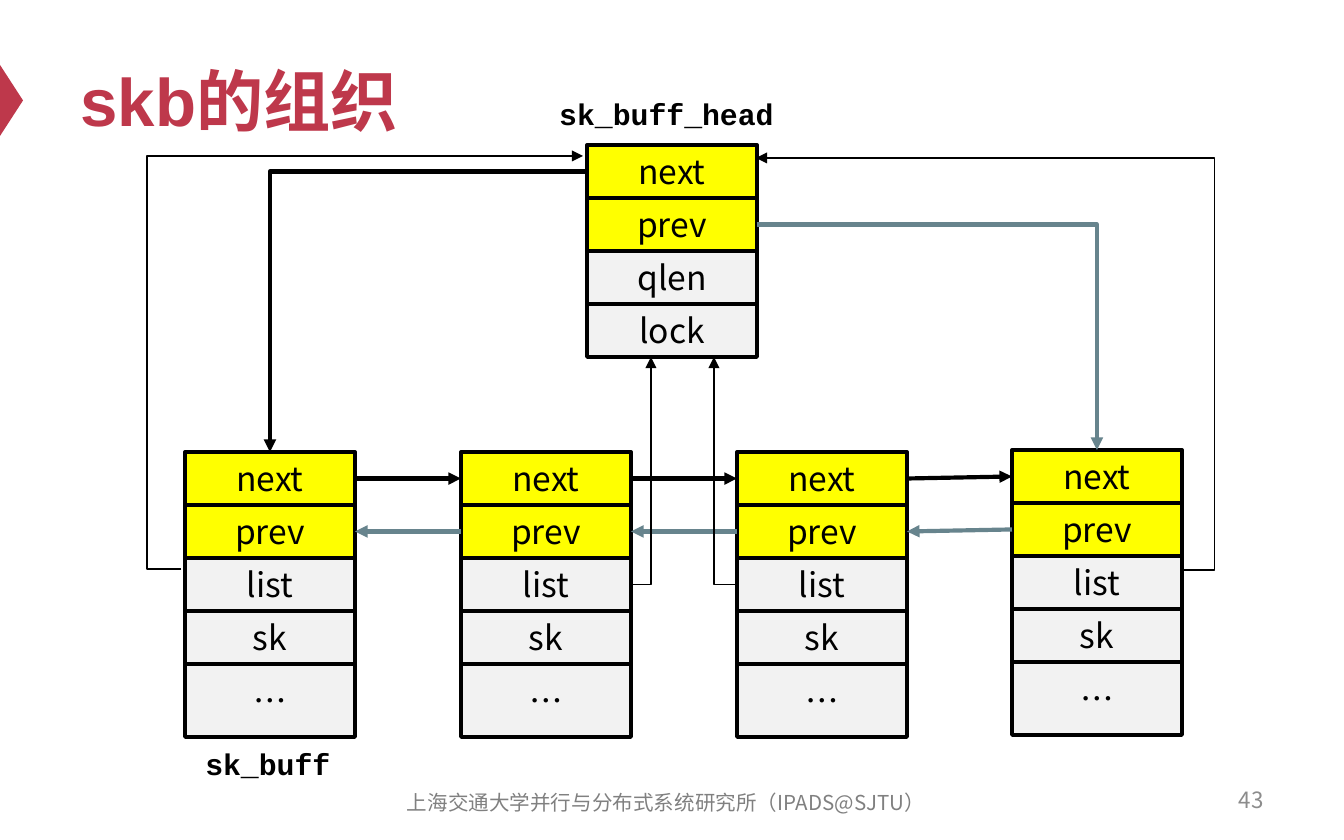
from lxml import etree
from pptx import Presentation
from pptx.dml.color import RGBColor
from pptx.enum.shapes import MSO_CONNECTOR, MSO_SHAPE
from pptx.enum.text import MSO_ANCHOR, PP_ALIGN
from pptx.oxml.ns import qn
from pptx.util import Emu, Pt

LEFT, CENTER, RIGHT = PP_ALIGN.LEFT, PP_ALIGN.CENTER, PP_ALIGN.RIGHT
MIDDLE, TOP = MSO_ANCHOR.MIDDLE, MSO_ANCHOR.TOP
STRAIGHT, ELBOW = MSO_CONNECTOR.STRAIGHT, MSO_CONNECTOR.ELBOW
RECTANGLE, TRIANGLE = MSO_SHAPE.RECTANGLE, MSO_SHAPE.ISOSCELES_TRIANGLE

SANS, LATIN, MONO = "Noto Sans CJK SC", "Arial", "Courier New"
RED, YELLOW, PALE, BLACK, SLATE = "BE384B", "FFFF00", "F2F2F2", "000000", "67848D"

TITLE = "skb的组织"
HEAD_FIELDS = ["next", "prev", "qlen", "lock"]
BUFFER_FIELDS = ["next", "prev", "list", "sk", "…"]
POINTER_FIELDS = {"next", "prev"}
HEAD = (587, 145)
BUFFERS = [(185, 452), (461, 452), (737, 452), (1012, 450)]
WIDTH, ROW, LAST_ROW = 170, 53, 73
LABELS = [
    ("sk_buff_head", (546, 89, 245, 50), 16, MONO, BLACK, True, LEFT, TOP),
    ("sk_buff", (192, 739, 155, 50), 16, MONO, BLACK, True, LEFT, TOP),
    ("上海交通大学并行与分布式系统研究所（IPADS@SJTU）", (375, 780, 582, 44),
     11, SANS, "808080", False, CENTER, MIDDLE),
    ("43", (964, 778, 313, 44), 12, SANS, "8C8C8C", False, RIGHT, MIDDLE),
]


def px(value):
    return Emu(round(value * 914400 / 134.4))


def color(value):
    return RGBColor.from_string(value)


def write(shape, text, size, font, ink, bold=False, align=CENTER, anchor=MIDDLE):
    frame = shape.text_frame
    frame.text = text
    frame.vertical_anchor = anchor
    para = frame.paragraphs[0]
    para.alignment = align
    span = para.runs[0]
    span.font.size, span.font.name, span.font.bold = Pt(size), font, bold
    span.font.color.rgb = color(ink)
    east_asian = etree.SubElement(span.font._element, qn("a:ea"))
    east_asian.set("typeface", SANS)


def add_filled(page, kind, area, fill):
    shape = page.shapes.add_shape(kind, *map(px, area))
    shape.shadow.inherit = False
    shape.fill.solid()
    shape.fill.fore_color.rgb = color(fill)
    shape.line.fill.background()
    return shape


def add_record(page, corner, fields):
    left, top = corner
    for index, field in enumerate(fields):
        height = LAST_ROW if field == "…" else ROW
        fill = YELLOW if field in POINTER_FIELDS else PALE
        box = add_filled(page, RECTANGLE, (left, top + index * ROW, WIDTH, height), fill)
        box.line.color.rgb = color(BLACK)
        box.line.width = Pt(2)
        write(box, field, 18, SANS, BLACK)


def add_arrow(page, start, end, ink=BLACK, width=2.25, kind=STRAIGHT, via=None):
    arrow = page.shapes.add_connector(kind, *map(px, (*start, *end)))
    arrow.line.color.rgb = color(ink)
    arrow.line.width = Pt(width)
    properties = arrow._element.spPr
    etree.SubElement(arrow.line._get_or_add_ln(), qn("a:tailEnd")).set("type", "triangle")
    etree.SubElement(properties, qn("a:effectLst"))
    if kind == ELBOW:
        geometry = properties.find(qn("a:prstGeom"))
        if via is None:
            geometry.set("prst", "bentConnector2")
        else:
            ratio = (via - start[0]) / abs(end[0] - start[0])
            if end[0] < start[0]:
                ratio = -ratio
            guide = etree.SubElement(geometry.find(qn("a:avLst")), qn("a:gd"))
            guide.set("name", "adj1")
            guide.set("fmla", f"val {round(ratio * 100000)}")


def side(corner, row, right=False):
    return corner[0] + WIDTH * right, corner[1] + ROW * (row + 0.5)


def top_center(corner):
    return corner[0] + WIDTH / 2, corner[1]


def main():
    deck = Presentation()
    deck.slide_width, deck.slide_height = px(1344), px(840)
    page = deck.slides.add_slide(deck.slide_layouts[5])

    title = page.shapes.title
    title.left, title.top, title.width, title.height = map(px, (67, 34, 1210, 132))
    write(title, TITLE, 36, LATIN, RED, True, LEFT)
    add_filled(page, TRIANGLE, (-24, 89, 71, 23), RED).rotation = 90

    add_record(page, HEAD, HEAD_FIELDS)
    for corner in BUFFERS:
        add_record(page, corner, BUFFER_FIELDS)

    for before, after in zip(BUFFERS, BUFFERS[1:]):
        add_arrow(page, side(before, 0, True), side(after, 0))
        add_arrow(page, side(after, 1), side(before, 1, True), SLATE)

    first, second, third, last = BUFFERS
    add_arrow(page, side(HEAD, 0), top_center(first), kind=ELBOW)
    add_arrow(page, side(HEAD, 1, True), top_center(last), SLATE, kind=ELBOW)

    head_bottom = HEAD[1] + ROW * len(HEAD_FIELDS)
    add_arrow(page, side(second, 2, True), (651, head_bottom), width=0.75, kind=ELBOW)
    add_arrow(page, side(third, 2), (714, head_bottom), width=0.75, kind=ELBOW)
    add_arrow(page, (181, 569), (583, 156), width=0.75, kind=ELBOW, via=147)
    add_arrow(page, (1182, 570), (756, 158), width=0.75, kind=ELBOW, via=1215)

    for text, area, size, font, ink, bold, align, anchor in LABELS:
        box = page.shapes.add_textbox(*map(px, area))
        box.text_frame.word_wrap = font != MONO
        write(box, text, size, font, ink, bold, align, anchor)

    deck.save("out.pptx")


if __name__ == "__main__":
    main()
